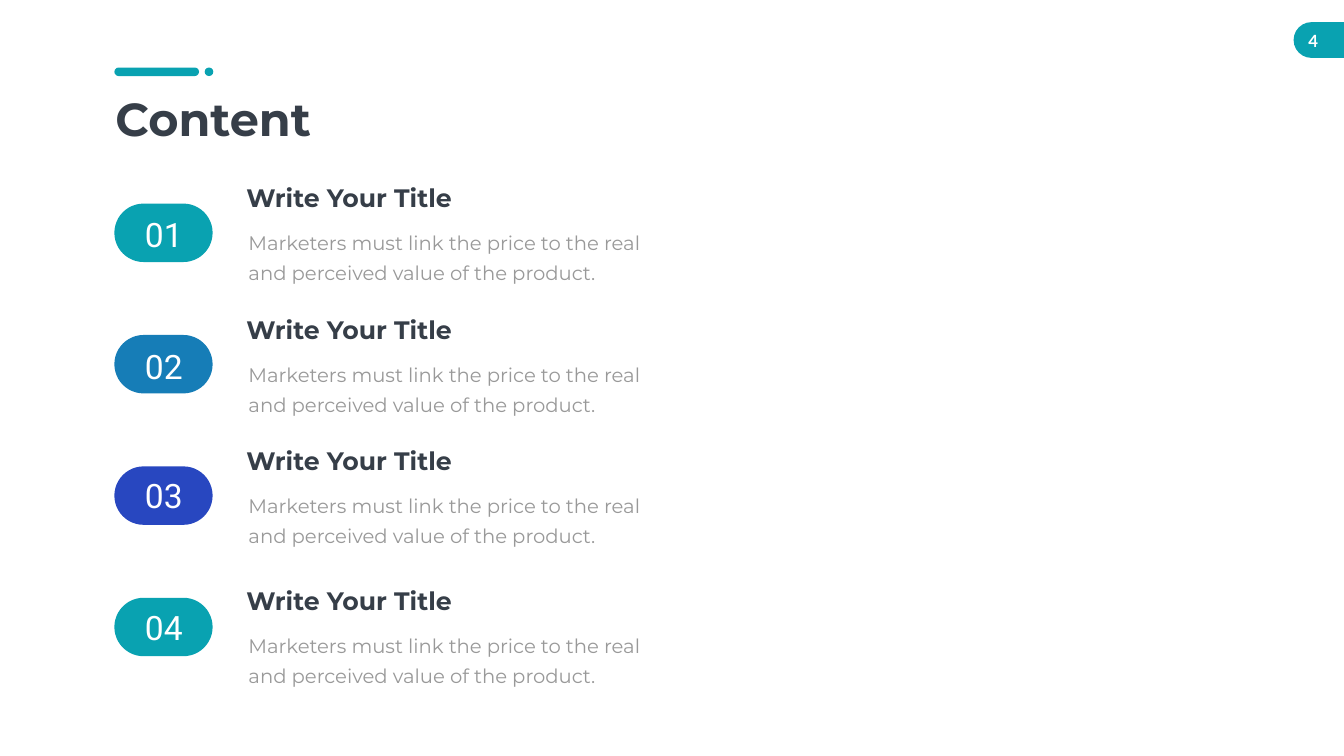
from pptx import Presentation
from pptx.dml.color import RGBColor
from pptx.enum.shapes import MSO_SHAPE as Shape
from pptx.enum.text import MSO_AUTO_SIZE as AutoSize, PP_ALIGN as Align
from pptx.util import Inches, Pt

COLORS = {
    "teal": "09A2B1",
    "blue": "167DB7",
    "indigo": "2847C0",
    "dark": "363E48",
    "gray": "999999",
    "white": "FFFFFF",
}
SUMMARY = "Marketers must link the price to the real and perceived value of the product."
ENTRIES = [
    ("teal", 27.93, 23.8),
    ("blue", 45.47, 41.2),
    ("indigo", 62.53, 58.6),
    ("teal", 79.93, 77.07),
]
FIRST_PILL, PILL_STEP = 26.93, 17.38
SUMMARY_DROP = 5.58


class SlideBuilder:
    """Places elements by percent of the slide's width and height."""

    def __init__(self, deck):
        self.width, self.height = deck.slide_width, deck.slide_height
        self.page = deck.slides.add_slide(deck.slide_layouts[6])
        background = self.page.background.fill
        background.solid()
        background.fore_color.rgb = self.color("white")

    def color(self, name):
        return RGBColor.from_string(COLORS[name])

    def place(self, left, top, width, height):
        return (
            round(left * self.width / 100),
            round(top * self.height / 100),
            round(width * self.width / 100),
            round(height * self.height / 100),
        )

    def shape(self, kind, area, color):
        shape = self.page.shapes.add_shape(kind, *self.place(*area))
        shape.shadow.inherit = False
        shape.fill.solid()
        shape.fill.fore_color.rgb = self.color(color)
        shape.line.fill.background()
        return shape

    def pill(self, area, color):
        self.shape(Shape.ROUNDED_RECTANGLE, area, color).adjustments[0] = 0.5

    def dot(self, area, color):
        self.shape(Shape.OVAL, area, color)

    def text(self, area, words, size, color, font="Montserrat", bold=False,
             align=Align.LEFT, wrap=True, spacing=None, insets=(0.1, 0.05)):
        box = self.page.shapes.add_textbox(*self.place(*area))
        frame = box.text_frame
        frame.word_wrap = wrap
        frame.auto_size = AutoSize.SHAPE_TO_FIT_TEXT
        frame.margin_left = frame.margin_right = Inches(insets[0])
        frame.margin_top = frame.margin_bottom = Inches(insets[1])
        para = frame.paragraphs[0]
        para.text = words
        para.alignment = align
        if spacing:
            para.line_spacing = Pt(spacing)
        para.font.name = font
        para.font.size = Pt(size)
        para.font.bold = bold
        para.font.color.rgb = self.color(color)


def main():
    deck = Presentation()
    deck.slide_width, deck.slide_height = Inches(26.66), Inches(15)
    slide = SlideBuilder(deck)

    slide.pill((96.25, 2.93, 7.54, 4.73), "teal")
    slide.text((96.25, 3.33, 2.93, 4.07), "4", 24, "white", font="Lato", bold=True,
               align=Align.CENTER, wrap=False, insets=(0.2, 0.1))
    slide.text((8.21, 11.6, 22.36, 8.07), "Content", 66, "dark", bold=True)
    slide.pill((8.51, 8.93, 6.3, 1.13), "teal")
    slide.dot((15.23, 8.93, 0.64, 1.13), "teal")

    for index, (color, number_top, heading_top) in enumerate(ENTRIES):
        slide.pill((8.51, FIRST_PILL + index * PILL_STEP, 7.31, 7.73), color)
        slide.text((9.56, number_top, 5.25, 6.07), f"{index + 1:02}", 48, "white",
                   font="Roboto", align=Align.CENTER)
        slide.text((17.97, heading_top, 16.05, 4.73), "Write Your Title", 36, "dark",
                   bold=True, wrap=False)
        slide.text((18.12, heading_top + SUMMARY_DROP, 30.35, 8.33), SUMMARY, 28, "gray",
                   spacing=43)

    deck.save("out.pptx")


if __name__ == "__main__":
    main()
